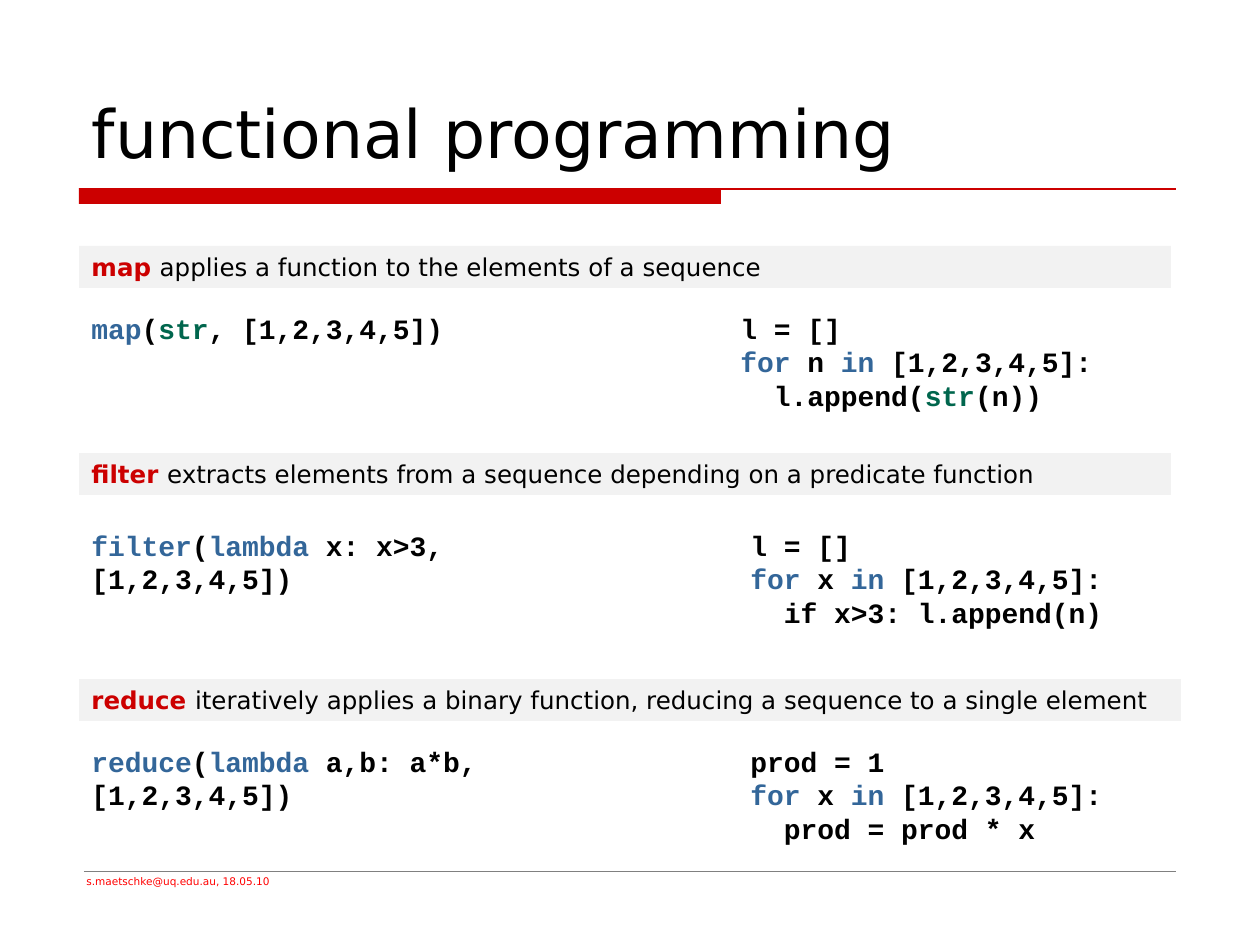
from pptx import Presentation
from pptx.dml.color import RGBColor
from pptx.enum.shapes import MSO_CONNECTOR, MSO_SHAPE
from pptx.enum.text import MSO_ANCHOR, MSO_AUTO_SIZE, PP_ALIGN
from pptx.oxml.ns import qn
from pptx.util import Pt
from lxml import etree

RECT, LINE = MSO_SHAPE.RECTANGLE, MSO_CONNECTOR.STRAIGHT
TOP, BOTTOM = MSO_ANCHOR.TOP, MSO_ANCHOR.BOTTOM
LEFT, NO_FIT = PP_ALIGN.LEFT, MSO_AUTO_SIZE.NONE

# Content: backticks mark the coloured words of the code
TITLE = "functional programming"
FOOTER = "s.maetschke@uq.edu.au, 18.05.10"
SECTIONS = [
    {"name": "map", "about": "applies a function to the elements of a sequence",
     "call": "`map`(`str`, [1,2,3,4,5])",
     "loop": "l = []\n`for` n `in` [1,2,3,4,5]:\n  l.append(`str`(n))",
     "bar": (79, 246, 1092, 42), "code_top": 305, "loop_left": 728},
    {"name": "filter",
     "about": "extracts elements from a sequence depending on a predicate function",
     "call": "`filter`(`lambda` x: x>3, [1,2,3,4,5])",
     "loop": "l = []\n`for` x `in` [1,2,3,4,5]:\n  if x>3: l.append(n)",
     "bar": (79, 453, 1092, 42), "code_top": 522, "loop_left": 738},
    {"name": "reduce",
     "about": "iteratively applies a binary function, reducing a sequence to a single element",
     "call": "`reduce`(`lambda` a,b: a*b, [1,2,3,4,5])",
     "loop": "prod = 1\n`for` x `in` [1,2,3,4,5]:\n  prod = prod * x",
     "bar": (79, 679, 1102, 42), "code_top": 738, "loop_left": 738},
]

SANS, MONO = "DejaVu Sans", "Courier New"
RED, BLACK, BLUE, GREEN = "CC0000", "000000", "336699", "00664D"
TYPE_NAMES = {"str"}
PX = 914400 / 126


def px(*values):
    return [round(v * PX) for v in values]


def rgb(value):
    return RGBColor.from_string(value)


def set_font(font, name, size, color, bold=False):
    font.name, font.size, font.bold = name, Pt(size), bold
    font.color.rgb = rgb(color)


def setup(sp, anchor=TOP):
    """Prepare the frame and return its first paragraph."""
    tf = sp.text_frame
    tf.word_wrap, tf.auto_size, tf.vertical_anchor = True, NO_FIT, anchor
    tf.margin_left = tf.margin_right = Pt(7.2)
    tf.margin_top = tf.margin_bottom = Pt(3.6)
    p = tf.paragraphs[0]
    p.alignment = LEFT
    return p


def add_run(p, text, color, bold=None):
    r = p.add_run()
    r.text = text
    r.font.color.rgb = rgb(color)
    r.font.bold = bold


def add_rect(slide, box, fill):
    sp = slide.shapes.add_shape(RECT, *px(*box))
    sp.shadow.inherit = False
    sp.fill.solid()
    sp.fill.fore_color.rgb = rgb(fill)
    sp.line.fill.background()
    return sp


def add_rule(slide, x1, x2, y, color, width):
    line = slide.shapes.add_connector(LINE, *px(x1, y, x2, y))
    line.line.color.rgb = rgb(color)
    line.line.width = Pt(width)
    etree.SubElement(line._element.spPr, qn("a:effectLst"))


def add_code(slide, box, code):
    p = setup(slide.shapes.add_textbox(*px(*box)))
    set_font(p.font, MONO, 16, BLACK, True)
    for i, line in enumerate(code.split("\n")):
        if i:
            p.add_line_break()
        for j, part in enumerate(line.split("`")):
            if part:
                word_color = GREEN if part in TYPE_NAMES else BLUE
                add_run(p, part, word_color if j % 2 else BLACK)


prs = Presentation()
prs.slide_width, prs.slide_height = px(1260, 945)
slide = prs.slides.add_slide(prs.slide_layouts[5])

# Title with its red rule
title = slide.shapes.title
title.left, title.top, title.width, title.height = px(79, 42, 1102, 136)
p = setup(title, BOTTOM)
p.text = TITLE
set_font(p.font, SANS, 38, BLACK)
add_rect(slide, (79, 188, 642, 16), RED)
add_rule(slide, 79, 1176, 189, RED, 0.75)

# Footer
add_rule(slide, 84, 1176, 871, "808080", 0.25)
p = setup(slide.shapes.add_textbox(*px(74, 869, 472, 25)))
p.text = FOOTER
set_font(p.font, SANS, 6, "FF0000")

# Sections: heading bar, functional call, equivalent loop
for s in SECTIONS:
    p = setup(add_rect(slide, s["bar"], "F2F2F2"))
    set_font(p.font, SANS, 14, BLACK)
    add_run(p, s["name"] + " ", RED, True)
    add_run(p, s["about"], BLACK)
    add_code(slide, (79, s["code_top"], 591, 81), s["call"])
    add_code(slide, (s["loop_left"], s["code_top"], 452, 113), s["loop"])

prs.save("out.pptx")
